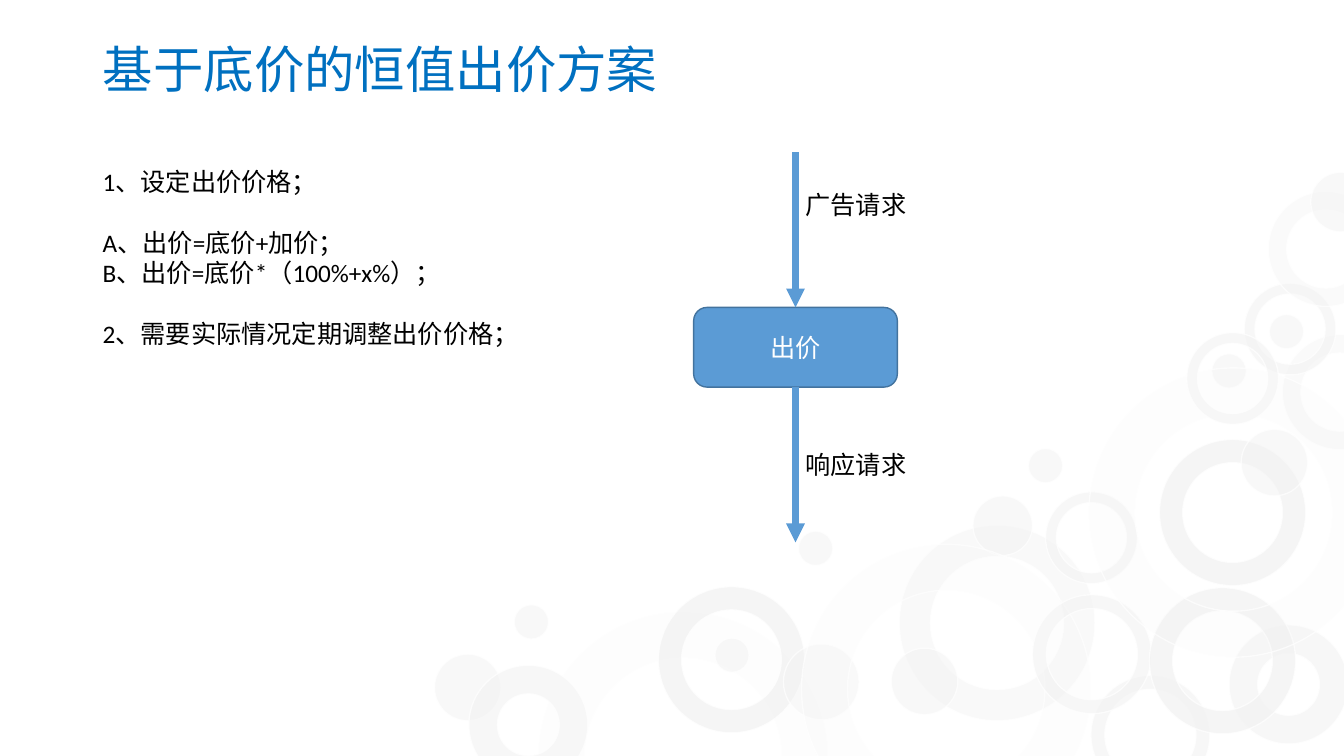
import pptx
import pptx.util
import pptx.dml.color
import pptx.enum.shapes
import pptx.enum.text
import pptx.oxml
import pptx.oxml.ns

Inches, Pt = pptx.util.Inches, pptx.util.Pt
SHAPE = pptx.enum.shapes.MSO_SHAPE
ANCHOR = pptx.enum.text.MSO_ANCHOR
ALIGN = pptx.enum.text.PP_ALIGN
FIT = pptx.enum.text.MSO_AUTO_SIZE

# Content
TITLE = "基于底价的恒值出价方案"
STEPS = [  # text, blank line above
    ("1、设定出价价格；", False),
    ("A、出价=底价+加价；", True),
    ("B、出价=底价*（100%+x%）；", False),
    ("2、需要实际情况定期调整出价价格；", True),
]
BOX = ("出价", 6.88, 3.05, 2.02, 0.79)
LABELS = [("广告请求", 1.83), ("响应请求", 4.41)]
ARROW = 1.54  # length
LINE = 21.8   # points per text line

# Bubble styles: diameter, ring width (None = full disc), opacity %
STYLES = {
    "bold": (1.45, 0.159, 75),
    "pale": (1.14, 0.159, 31),
    "huge": (2.87, 0.159, 13),
    "wide": (1.94, 0.159, 42),
    "thin": (1.18, 0.117, 54),
    "ring": (0.91, 0.117, 54),
    "thick": (1.18, 0.24, 54),
    "disc": (0.66, None, 47),
    "dot": (0.34, None, 47),
    "spot": (0.59, None, 47),
    "ball": (0.75, None, 39),
}
BUBBLES = [  # style, left, top
    ("bold", 11.5, 4.36), ("pale", 12.72, 3.32), ("huge", 5.34, 6.07),
    ("thin", 10.82, 6.7), ("ring", 12.34, 2.81), ("disc", 12.31, 4.26),
    ("dot", 12.02, 3.51), ("wide", 8.92, 5.21), ("bold", 6.53, 5.82),
    ("ball", 7.77, 6.39), ("spot", 9.65, 4.92), ("huge", 7.95, 5.4),
    ("thin", 10.24, 5.9), ("ring", 10.37, 4.88), ("thick", 12.19, 6.2),
    ("dot", 7.92, 5.27), ("disc", 4.31, 6.49), ("dot", 7.09, 6.33),
    ("dot", 10.2, 4.45), ("bold", 11.4, 5.83), ("pale", 12.58, 1.9),
    ("spot", 13, 1.71), ("huge", 10.8, 3.65), ("ring", 11.77, 3.3),
    ("thick", 4.65, 6.6), ("dot", 12.59, 3.12), ("disc", 8.84, 6.43),
    ("dot", 5.1, 6),
]


def color(fmt, code):
    fmt.rgb = pptx.dml.color.RGBColor.from_string(code)


def paint(shape, fill, line):
    shape.shadow.inherit = False
    shape.fill.solid()
    color(shape.fill.fore_color, fill)
    color(shape.line.color, line)
    shape.line.width = Pt(1)


def fade(shape, fill, line):
    """Set the opacity of fill and line, in percent."""
    tag = pptx.oxml.ns.qn("a:srgbClr")
    for node, part in zip(shape.element.spPr.iter(tag), (fill, line)):
        node.append(pptx.oxml.parse_xml(
            f'<a:alpha {pptx.oxml.ns.nsdecls("a")} val="{part * 1000}"/>'))


def write(para, text, size=18, code="000000"):
    run = para.add_run()
    run.text = text
    run.font.name = "Calibri"
    run.font.size = Pt(size)
    color(run.font.color, code)


def note(slide, left, top, width, height, lines):
    box = slide.shapes.add_textbox(*map(Inches, (left, top, width, height)))
    frame = box.text_frame
    frame.word_wrap = False
    frame.auto_size = FIT.SHAPE_TO_FIT_TEXT
    for i, (text, gap) in enumerate(lines):
        para = frame.add_paragraph() if i else frame.paragraphs[0]
        if gap:
            para.space_before = Pt(LINE)
        write(para, text)


def arrow(slide, x, top, bottom):
    link = slide.shapes.add_connector(
        pptx.enum.shapes.MSO_CONNECTOR.STRAIGHT,
        Inches(x), Inches(top), Inches(x), Inches(bottom))
    color(link.line.color, "5B9BD5")
    link.line.width = Pt(4.5)
    space = pptx.oxml.ns.nsdecls("a")
    link.line._get_or_add_ln().append(
        pptx.oxml.parse_xml(f'<a:tailEnd {space} type="triangle"/>'))
    link.element.spPr.append(pptx.oxml.parse_xml(f"<a:effectLst {space}/>"))
    return link


def main():
    deck = pptx.Presentation()
    deck.slide_width, deck.slide_height = Inches(13.33), Inches(7.5)
    slide = deck.slides.add_slide(deck.slide_layouts[5])

    # Background bubbles
    group = slide.shapes.add_group_shape()
    for style, left, top in BUBBLES:
        size, ring, alpha = STYLES[style]
        kind = SHAPE.DONUT if ring else SHAPE.OVAL
        bubble = group.shapes.add_shape(
            kind, *map(Inches, (left, top, size, size)))
        if ring:
            bubble.adjustments[0] = ring
        paint(bubble, "F2F2F2", "FFFFFF")
        fade(bubble, alpha, 70)

    # Title
    title = slide.shapes.title
    title.left, title.top = Inches(0.92), Inches(0.4)
    title.width, title.height = Inches(11.5), Inches(1.45)
    frame = title.text_frame
    frame.auto_size = FIT.NONE
    frame.vertical_anchor = ANCHOR.TOP
    para = frame.paragraphs[0]
    para.alignment = ALIGN.LEFT
    para.line_spacing = 0.9
    write(para, TITLE, 36, "0070C0")

    # Bid box
    text, left, top, width, height = BOX
    bid = slide.shapes.add_shape(
        SHAPE.ROUNDED_RECTANGLE, *map(Inches, (left, top, width, height)))
    paint(bid, "5B9BD5", "43739E")
    bid.text_frame.vertical_anchor = ANCHOR.MIDDLE
    para = bid.text_frame.paragraphs[0]
    para.alignment = ALIGN.CENTER
    write(para, text, code="FFFFFF")

    # Steps
    note(slide, 0.92, 1.6, 4.37, 1.92, STEPS)

    # Arrows and their labels
    mid, base = left + width / 2, top + height
    arrow(slide, mid, top - ARROW, top).end_connect(bid, 0)
    arrow(slide, mid, base, base + ARROW).begin_connect(bid, 2)
    for label, y in LABELS:
        note(slide, mid, y, 1.21, 0.4, [(label, False)])

    deck.save("out.pptx")


if __name__ == "__main__":
    main()
